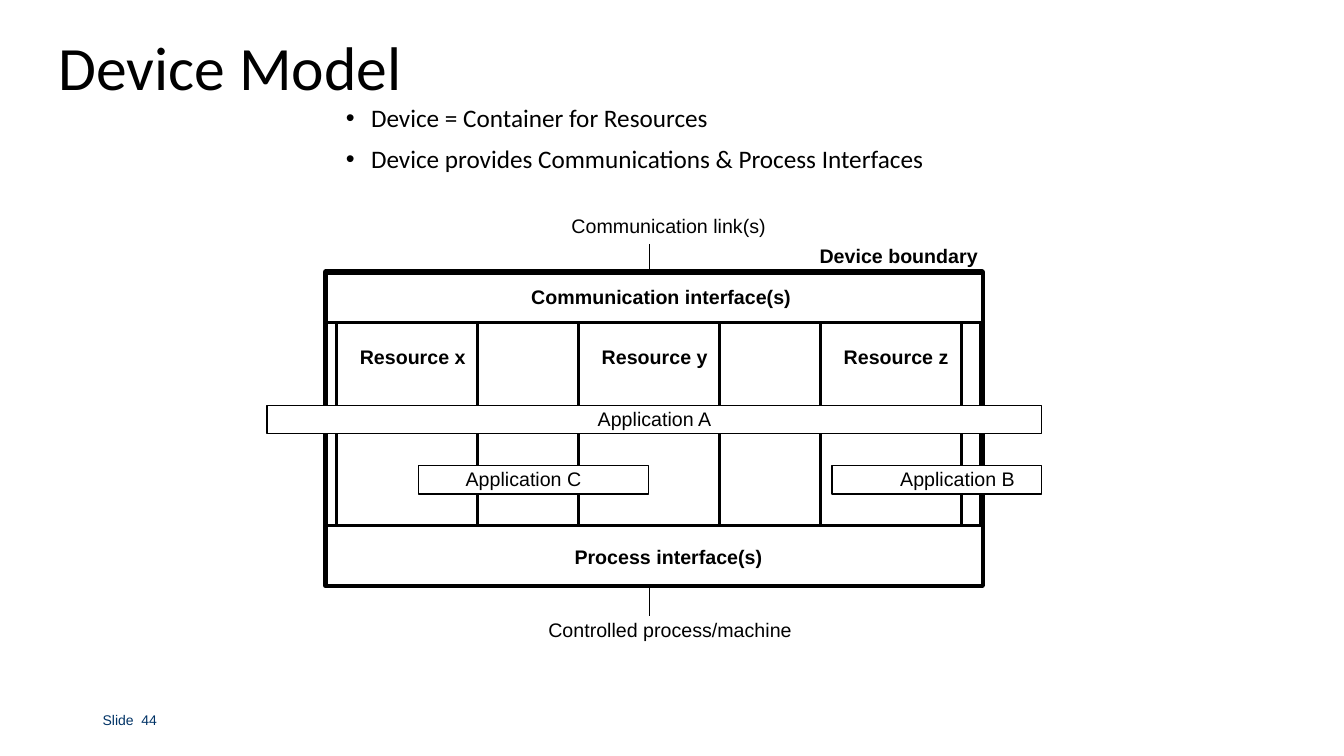
from lxml import etree
from pptx import Presentation
from pptx.dml.color import RGBColor
from pptx.enum.shapes import MSO_CONNECTOR, MSO_SHAPE
from pptx.enum.text import MSO_ANCHOR, MSO_AUTO_SIZE, PP_ALIGN
from pptx.oxml.ns import qn
from pptx.util import Inches, Pt

RECT = MSO_SHAPE.RECTANGLE
STRAIGHT = MSO_CONNECTOR.STRAIGHT
MIDDLE, TOP = MSO_ANCHOR.MIDDLE, MSO_ANCHOR.TOP
NO_FIT = MSO_AUTO_SIZE.NONE
LEFT = PP_ALIGN.LEFT


def rgb(value):
    return RGBColor.from_string(value)


def apply(target, formats):
    for name, value in formats.items():
        setattr(target, name, value)


class DeviceSlide:
    black, white, navy = "000000", "FFFFFF", "003366"
    heading_font, label_font = "Calibri", "Arial"

    def __init__(self, prs):
        self.s = prs.slides.add_slide(prs.slide_layouts[1])

    def place(self, sp, x, y, w, h):
        apply(sp, {"left": Inches(x), "top": Inches(y),
                   "width": Inches(w), "height": Inches(h)})

    def frame(self, sp, anchor, wrap):
        tf = sp.text_frame
        apply(tf, {"auto_size": NO_FIT, "vertical_anchor": anchor, "word_wrap": wrap,
                   "margin_left": Inches(0.1), "margin_right": Inches(0.1),
                   "margin_top": Inches(0.05), "margin_bottom": Inches(0.05)})
        return tf

    def add_text(self, p, text, font, size, color, bold=False, before=0):
        apply(p, {"alignment": LEFT, "line_spacing": 0.9, "space_before": Pt(before)})
        r = p.add_run()
        r.text = text
        apply(r.font, {"name": font, "size": Pt(size), "bold": bold})
        r.font.color.rgb = rgb(color)

    def title(self, text, *box):
        sp = self.s.shapes.title
        self.place(sp, *box)
        tf = self.frame(sp, MIDDLE, True)
        self.add_text(tf.paragraphs[0], text, self.heading_font, 44, self.black)

    def bullets(self, items, *box):
        sp = self.s.placeholders[1]
        self.place(sp, *box)
        tf = self.frame(sp, TOP, False)
        for i, text in enumerate(items):
            p = tf.add_paragraph() if i else tf.paragraphs[0]
            pPr = p._p.get_or_add_pPr()
            pPr.set("marL", str(Inches(0.25)))
            pPr.set("indent", str(Inches(-0.25)))
            etree.SubElement(pPr, qn("a:buFont")).set("typeface", "Arial")
            etree.SubElement(pPr, qn("a:buChar")).set("char", "•")
            self.add_text(p, text, self.heading_font, 18, self.black, before=10 if i else 0)

    def box(self, x, y, w, h, weight):
        sp = self.s.shapes.add_shape(RECT, Inches(x), Inches(y), Inches(w), Inches(h))
        sp.shadow.inherit = False
        sp.fill.solid()
        sp.fill.fore_color.rgb = rgb(self.white)
        sp.line.color.rgb = rgb(self.black)
        sp.line.width = Pt(weight)

    def label(self, text, x, y, w, h=0.31, bold=False, size=14, color=black, anchor=TOP):
        sp = self.s.shapes.add_textbox(Inches(x), Inches(y), Inches(w), Inches(h))
        tf = self.frame(sp, anchor, False)
        self.add_text(tf.paragraphs[0], text, self.label_font, size, color, bold)

    def link(self, x, top, bottom):
        c = self.s.shapes.add_connector(STRAIGHT, Inches(x), Inches(top),
                                        Inches(x), Inches(bottom))
        c.line.color.rgb = rgb(self.black)
        c.line.width = Pt(1)
        etree.SubElement(c._element.spPr, qn("a:effectLst"))


def main():
    prs = Presentation()
    prs.slide_width, prs.slide_height = Inches(13.33), Inches(7.5)
    slide = DeviceSlide(prs)

    slide.title("Device Model", 0.48, -0.02, 11.5, 1.45)
    slide.bullets(["Device = Container for Resources",
                   "Device provides Communications & Process Interfaces"],
                  3.33, 1, 6, 0.79)
    slide.label("Slide  44", 0.92, 6.95, 3, 0.4,
                size=10, color=slide.navy, anchor=MIDDLE)

    slide.box(3.23, 2.7, 6.51, 3.11, 4)
    for i, name in enumerate("xyz"):
        x = 3.34 + 2.4 * i
        slide.box(x, 3.11, 1.4, 2.2, 2)
        slide.label(f"Resource {name}", x + 0.13, 3.4, 1.26, bold=True)

    applications = [("C", 4.15, 4.62, 2.28, 4.52),
                    ("B", 8.25, 4.62, 2.08, 8.83),
                    ("A", 2.65, 4.02, 7.68, 5.83)]
    for name, x, y, w, text_x in applications:
        slide.box(x, y, w, 0.28, 1)
        slide.label(f"Application {name}", text_x, y - 0.01, 1.35)

    interfaces = [("Communication interface(s)", 2.71, 0.49, 5.17, 2.8, 2.79),
                  ("Process interface(s)", 5.21, 0.6, 5.6, 5.38, 2.07)]
    for text, y, h, text_x, text_y, text_w in interfaces:
        slide.box(3.24, y, 6.5, h, 2)
        slide.label(text, text_x, text_y, text_w, bold=True)

    slide.link(6.44, 2.42, 2.7)
    slide.link(6.44, 5.82, 6.11)
    slide.label("Communication link(s)", 5.57, 2.1, 2.14)
    slide.label("Controlled process/machine", 5.34, 6.11, 2.63)
    slide.label("Device boundary", 8.03, 2.4, 1.78, bold=True)

    prs.save("out.pptx")


if __name__ == "__main__":
    main()
